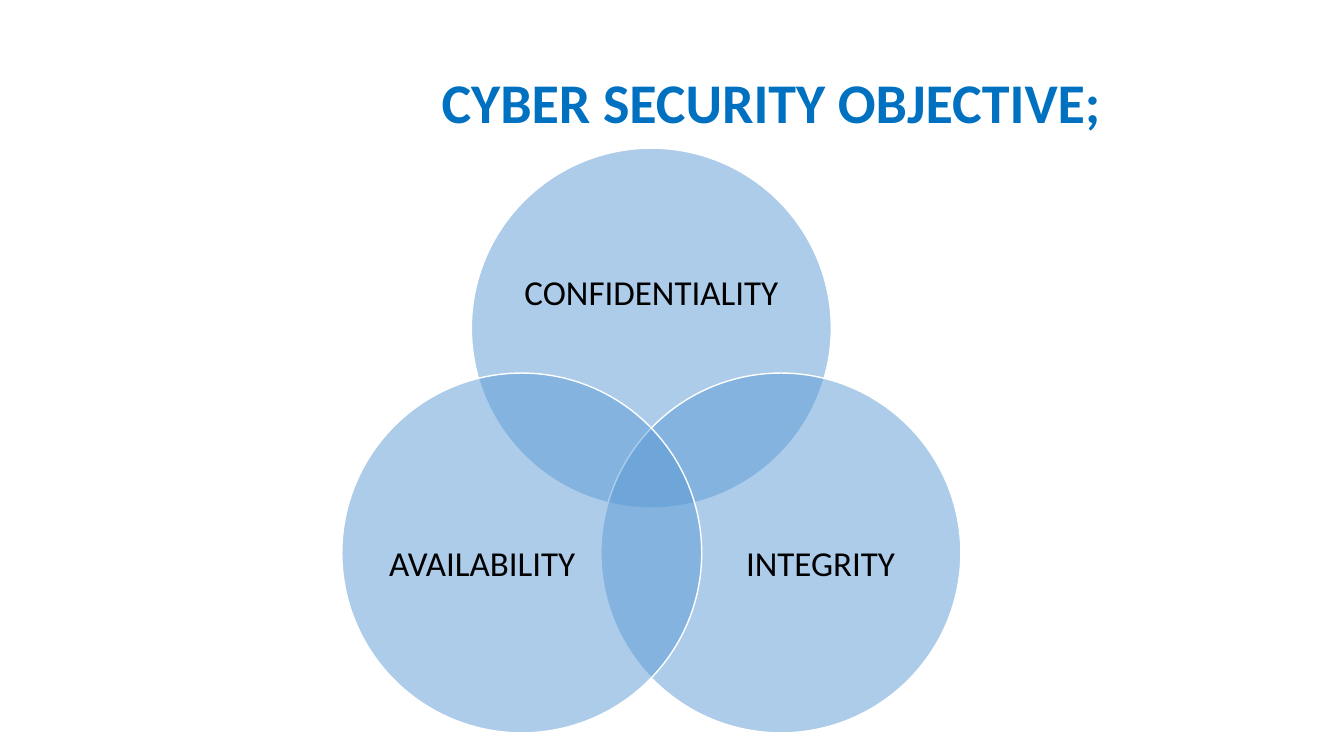
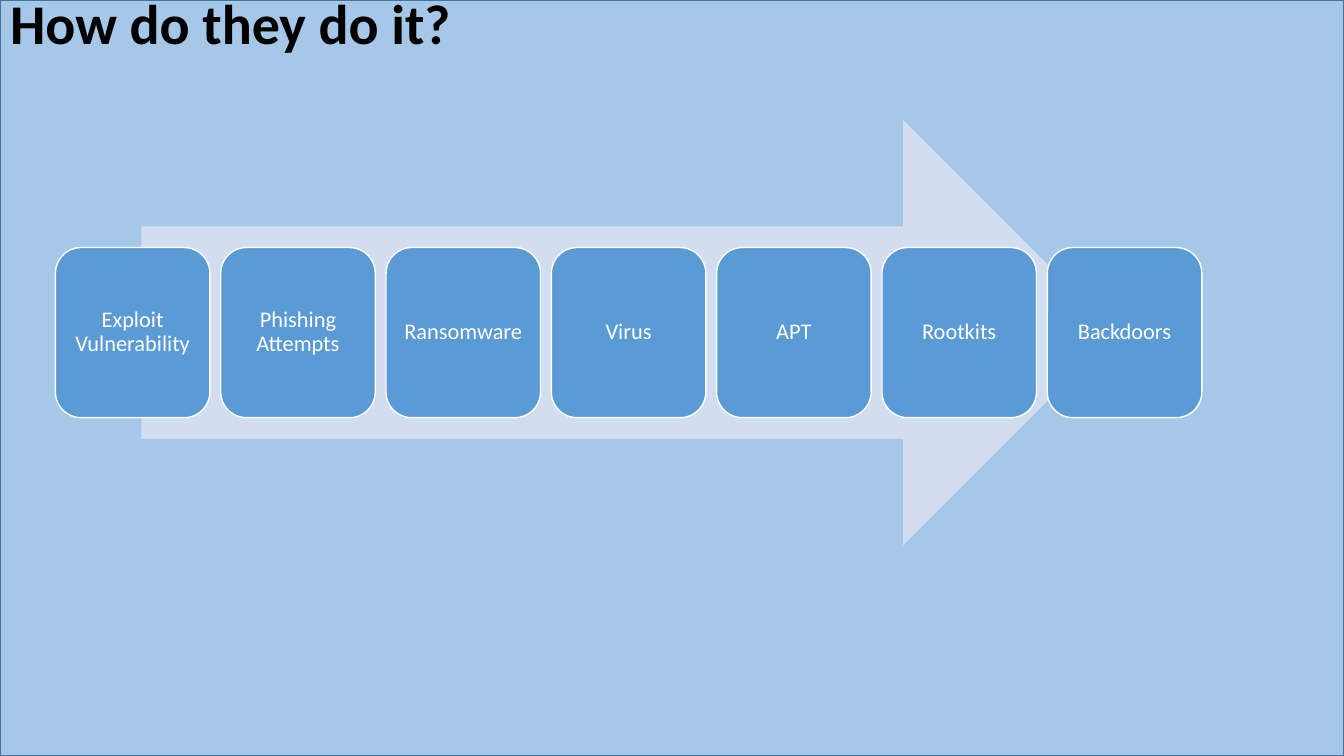
import dataclasses

import lxml.etree
import pptx
import pptx.dml.color
import pptx.enum.shapes
import pptx.enum.text
import pptx.oxml.ns
import pptx.util

SHAPE = pptx.enum.shapes.MSO_SHAPE
ALIGN = pptx.enum.text.PP_ALIGN
ANCHOR = pptx.enum.text.MSO_ANCHOR


@dataclasses.dataclass(frozen=True)
class Theme:
    """Colours, type and slide size shared by all slides."""
    font: str = "Calibri"
    blue: str = "5B9BD5"
    heading: str = "0070C0"
    border: str = "43739E"
    pale: str = "D2DEEF"
    black: str = "000000"
    white: str = "FFFFFF"
    title_size: int = 40
    circle_size: int = 25
    card_size: int = 16
    width: float = 13.33
    height: float = 7.5


THEME = Theme()


def rgb(code):
    """Turn a hex code into a colour."""
    return pptx.dml.color.RGBColor.from_string(code)


def inches(*lengths):
    """Turn numbers into lengths in inches."""
    return [pptx.util.Inches(n) for n in lengths]


def within(box, x, y, w, h):
    """Return the part of a box given by shares of its size."""
    left, top, width, height = box
    return left + x * width, top + y * height, w * width, h * height


def set_text(sp, text, size, color, align, anchor, inset, bold=False):
    """Write one formatted paragraph into a shape."""
    tf = sp.text_frame
    tf.text = text
    tf.word_wrap = True
    tf.auto_size = pptx.enum.text.MSO_AUTO_SIZE.NONE
    tf.vertical_anchor = anchor
    tf.margin_left, tf.margin_right, tf.margin_top, tf.margin_bottom = inches(*inset)
    p = tf.paragraphs[0]
    p.alignment = align
    p.font.name = THEME.font
    p.font.size = pptx.util.Pt(size)
    p.font.bold = bold
    p.font.color.rgb = rgb(color)
    return p


def add_label(sp, text, size, color, inset):
    """Centre a diagram label in a shape."""
    p = set_text(sp, text, size, color, ALIGN.CENTER, ANCHOR.MIDDLE, [inset] * 4)
    p.line_spacing = 0.9


def add_box(s, kind, box, fill, line=None, opacity=100):
    """Draw a filled preset shape, optionally outlined or translucent."""
    sp = s.shapes.add_shape(kind, *inches(*box))
    sp.shadow.inherit = False
    sp.fill.solid()
    sp.fill.fore_color.rgb = rgb(fill)
    if opacity < 100:
        qn = pptx.oxml.ns.qn
        color = sp.element.spPr.find(qn("a:solidFill"))[0]
        lxml.etree.SubElement(color, qn("a:alpha"), val=str(opacity * 1000))
    if line:
        sp.line.color.rgb = rgb(line)
        sp.line.width = pptx.util.Pt(1)
    else:
        sp.line.fill.background()
    return sp


def add_slide(prs, title, box, color):
    """Add a slide with its title placed in a box."""
    s = prs.slides.add_slide(prs.slide_layouts[5])
    sp = s.shapes.title
    sp.left, sp.top, sp.width, sp.height = inches(*box)
    set_text(sp, title, THEME.title_size, color, ALIGN.LEFT, ANCHOR.TOP,
             (0.1, 0.1, 0.05, 0.05), bold=True)
    return s


def add_backdrop(s):
    """Tint the whole slide behind everything else."""
    sp = add_box(s, SHAPE.RECTANGLE, (0, 0, THEME.width, THEME.height),
                 THEME.blue, THEME.border, opacity=54)
    sp.element.getparent().insert(2, sp.element)


def add_venn(s, left, top, diameter, circles):
    """Draw overlapping circles, placed by shares of their diameter."""
    for text, x, y, label in circles:
        box = within((left, top, diameter, diameter), x, y, 1, 1)
        add_box(s, SHAPE.OVAL, box, THEME.blue, THEME.white, opacity=50)
        tb = s.shapes.add_textbox(*inches(*within(box, *label)))
        add_label(tb, text, THEME.circle_size, THEME.black, 0)


def add_process(s, box, steps):
    """Draw a row of cards over a wide arrow."""
    add_box(s, SHAPE.RIGHT_ARROW, within(box, 0.075, 0, 0.85, 1), THEME.pale)
    gap = 0.07
    card = 1 / (len(steps) + gap * (len(steps) - 1))
    for i, text in enumerate(steps):
        cell = within(box, i * card * (1 + gap), 0.3, card, 0.4)
        sp = add_box(s, SHAPE.ROUNDED_RECTANGLE, cell, THEME.blue, THEME.white)
        add_label(sp, text, THEME.card_size, THEME.white, 0.07)


def objective_slide(prs):
    """Build the slide of three security objectives."""
    s = add_slide(prs, "CYBER SECURITY OBJECTIVE;", (4.28, 0.62, 9.05, 0.77), THEME.heading)
    add_venn(s, 3.39, 1.47, 3.57, [
        ("CONFIDENTIALITY", 0.36, 0, (0.13, 0.18, 0.74, 0.45)),
        ("INTEGRITY", 0.72, 0.625, (0.31, 0.26, 0.6, 0.55)),
        ("AVAILABILITY", 0, 0.625, (0.09, 0.26, 0.6, 0.55)),
    ])


def methods_slide(prs):
    """Build the slide of attack methods."""
    s = add_slide(prs, "How do they do it?", (0, -0.16, 5.86, 0.77), THEME.black)
    add_backdrop(s)
    add_process(s, (0.55, 1.19, 11.37, 4.22), [
        "Exploit Vulnerability", "Phishing Attempts", "Ransomware", "Virus",
        "APT", "Rootkits", "Backdoors",
    ])


def main():
    """Build and save the presentation."""
    prs = pptx.Presentation()
    prs.slide_width, prs.slide_height = inches(THEME.width, THEME.height)
    objective_slide(prs)
    methods_slide(prs)
    prs.save("out.pptx")


if __name__ == "__main__":
    main()
